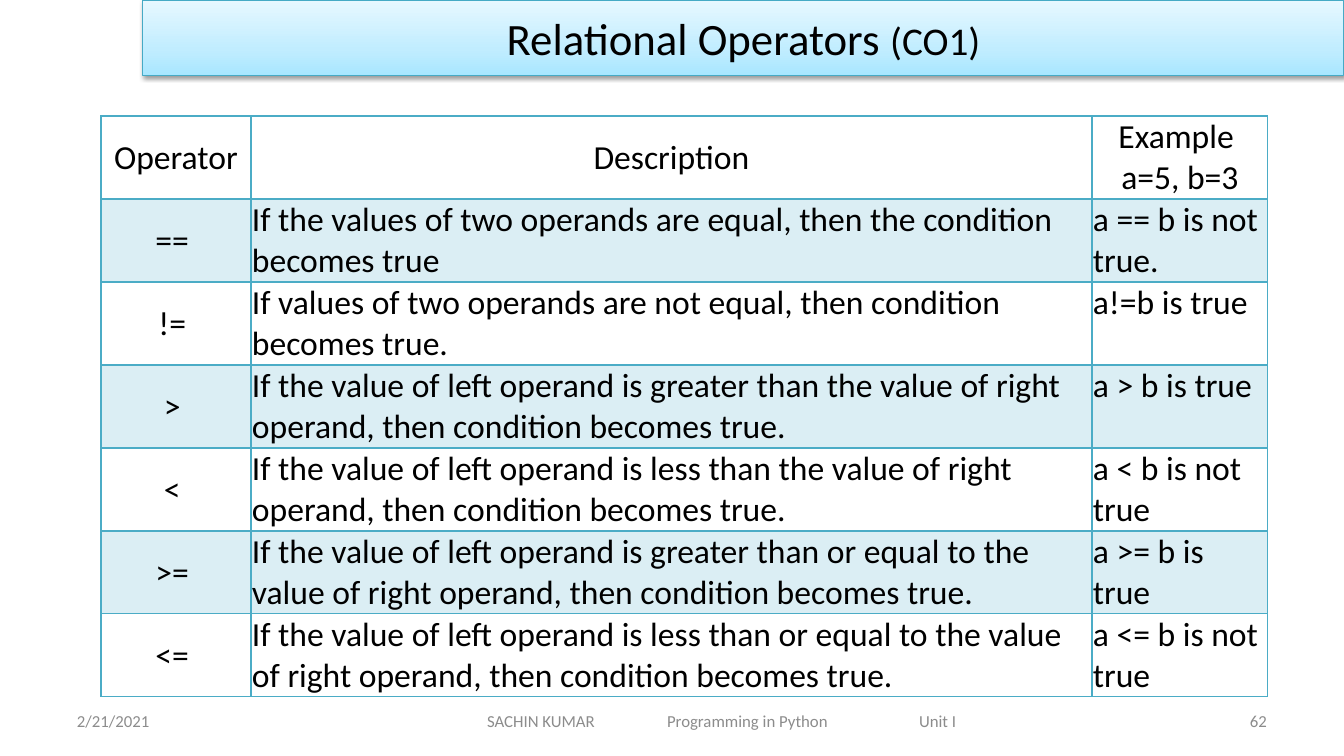
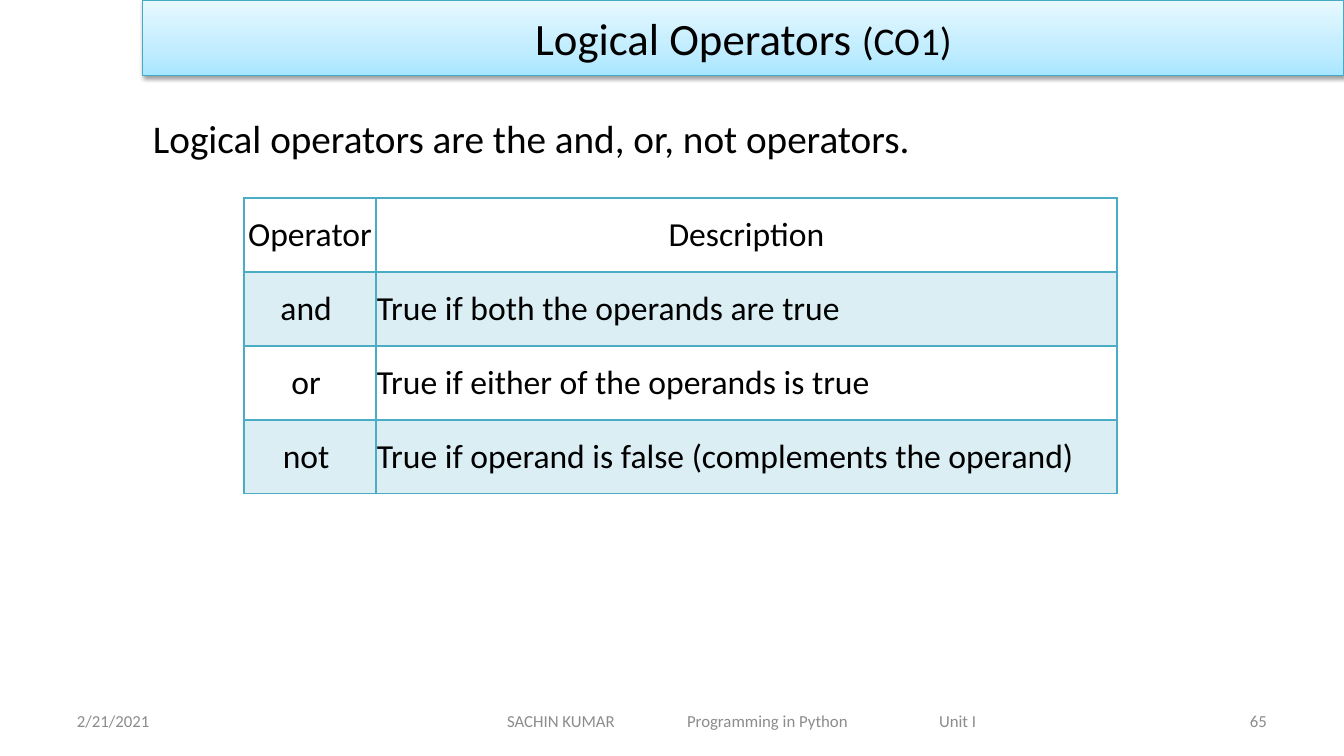
from lxml import etree
from pptx import Presentation
from pptx.dml.color import RGBColor
from pptx.enum.text import MSO_ANCHOR as ANCHOR, MSO_AUTO_SIZE as AUTO, PP_ALIGN as ALIGN
from pptx.oxml import parse_xml
from pptx.oxml.ns import nsdecls, qn
from pptx.util import Emu, Pt

FONT = "Calibri"
BLACK, GREY, TEAL = "000000", "8C8C8C", "4BACC6"
BAND, TITLE_LINE = "DBEEF4", "46AAC5"
TITLE_STOPS = [(0, "A7E6FF"), (35, "C1EDFF"), (100, "E7F8FF")]
TITLE_BOX = (143, 0, 1201, 76)
FOOTER_TOP, FOOTER_HEIGHT = 701, 40
FOOTER_PARTS = ["SACHIN KUMAR", "Programming in Python", "Unit I"]
FOOTER_TABS = [180, 432]

RELATIONAL = [
    ["Operator", "Description", "Example \na=5, b=3"],
    ["== ", "If the values of two operands are equal, then the condition becomes true",
     "a == b is not true."],
    ["!= ", "If values of two operands are not equal, then condition becomes true.",
     "a!=b is true"],
    ["> ", "If the value of left operand is greater than the value of right operand, "
     "then condition becomes true.", "a > b is true"],
    ["< ", "If the value of left operand is less than the value of right operand, "
     "then condition becomes true.", "a < b is not true"],
    [">= ", "If the value of left operand is greater than or equal to the value of "
     "right operand, then condition becomes true.", "a >= b is true"],
    ["<= ", "If the value of left operand is less than or equal to the value of "
     "right operand, then condition becomes true.", "a <= b is not true"],
]
LOGICAL = [
    ["Operator", "Description"],
    ["and ", "True if both the operands are true"],
    ["or ", "True if either of the operands is true"],
    ["not ", "True if operand is false (complements the operand)"],
]


def px(n):
    """Turn slide pixels into EMU."""
    return Emu(round(n * 914400 / 100.8))


def rgb(color):
    """Turn a hex string into a colour."""
    return RGBColor.from_string(color)


def style(font, size, color=BLACK):
    """Set the typeface, size and colour of a font."""
    font.name, font.size, font.color.rgb = FONT, Pt(size), rgb(color)


def add_text(s, box, text, size, color=BLACK, align=ALIGN.LEFT,
             anchor=ANCHOR.MIDDLE, inset=10, tabs=()):
    """Add a one-paragraph text box with optional tab stops."""
    tf = s.shapes.add_textbox(*map(px, box)).text_frame
    tf.word_wrap, tf.vertical_anchor = True, anchor
    tf.margin_left = tf.margin_right = px(inset)
    p = tf.paragraphs[0]
    p.text, p.alignment = text, align
    if tabs:
        tab_list = etree.SubElement(p._p.get_or_add_pPr(), qn("a:tabLst"))
        for tab in tabs:
            etree.SubElement(tab_list, qn("a:tab"), pos=str(px(tab)), algn="l")
    style(p.font, size, color)


def add_title(s, text, box=TITLE_BOX):
    """Turn the title placeholder into the shaded band."""
    sp = s.shapes.title
    sp.left, sp.top, sp.width, sp.height = map(px, box)
    stops = "".join(f'<a:gs pos="{pos * 1000}"><a:srgbClr val="{color}"/></a:gs>'
                    for pos, color in TITLE_STOPS)
    props = sp._element.spPr
    props.append(parse_xml(
        f'<a:gradFill {nsdecls("a")} rotWithShape="1"><a:gsLst>{stops}</a:gsLst>'
        '<a:lin ang="16200000" scaled="0"/></a:gradFill>'))
    sp.line.color.rgb, sp.line.width = rgb(TITLE_LINE), Pt(0.75)
    props.append(parse_xml(
        f'<a:effectLst {nsdecls("a")}><a:outerShdw blurRad="{Pt(3.1)}" '
        f'dist="{Pt(1.6)}" dir="5400000" rotWithShape="0"><a:srgbClr val="{BLACK}">'
        '<a:alpha val="38000"/></a:srgbClr></a:outerShdw></a:effectLst>'))
    tf = sp.text_frame
    tf.auto_size, tf.vertical_anchor = AUTO.NONE, ANCHOR.MIDDLE
    p = tf.paragraphs[0]
    p.alignment = ALIGN.CENTER
    for part, size in ((text + " ", 32), ("(CO1)", 28)):
        r = p.add_run()
        r.text = part
        style(r.font, size)


def add_footer(s, number, middle_left):
    """Place the date, course line and slide number."""
    def place(left, width, text, **options):
        """Place one part on the footer row."""
        add_text(s, (left, FOOTER_TOP, width, FOOTER_HEIGHT), text, 12, GREY, **options)

    place(67, 314, "2/21/2021")
    place(middle_left, 500, "\t".join(FOOTER_PARTS), inset=0, tabs=FOOTER_TABS)
    place(963, 314, str(number), align=ALIGN.RIGHT)


def add_borders(cell, is_header):
    """Draw the four cell borders, heavier below the header."""
    props = cell._tc.get_or_add_tcPr()
    for i, side in enumerate("LRTB"):
        width = Pt(2 if is_header and side == "B" else 1)
        props.insert(i, parse_xml(
            f'<a:ln{side} {nsdecls("a")} w="{width}"><a:solidFill>'
            f'<a:srgbClr val="{TEAL}"/></a:solidFill></a:ln{side}>'))


def format_cell(cell, text, row, col):
    """Fill in and format one cell by its place in the table."""
    cell.text = text
    cell.margin_left = cell.margin_right = cell.margin_top = px(1)
    cell.margin_bottom = 0
    is_header = row == 0
    cell.vertical_anchor = ANCHOR.MIDDLE if is_header or col < 2 else ANCHOR.TOP
    for p in cell.text_frame.paragraphs:
        p.alignment = ALIGN.CENTER if is_header or col == 0 else ALIGN.LEFT
        style(p.font, 24)
    if row % 2:
        cell.fill.solid()
        cell.fill.fore_color.rgb = rgb(BAND)
    else:
        cell.fill.background()
    add_borders(cell, is_header)


def add_operator_table(s, left, top, widths, row_height, rows):
    """Add a table of operators with shaded odd rows."""
    table = s.shapes.add_table(len(rows), len(widths), px(left), px(top),
                               px(sum(widths)), px(row_height * len(rows))).table
    table.first_row = table.horz_banding = False
    for column, width in zip(table.columns, widths):
        column.width = px(width)
    for i, texts in enumerate(rows):
        table.rows[i].height = px(row_height)
        for j, text in enumerate(texts):
            format_cell(table.cell(i, j), text, i, j)


def add_slide(prs, title, number, middle_left):
    """Add a slide with the shared title band and footer."""
    s = prs.slides.add_slide(prs.slide_layouts[5])
    add_title(s, title)
    add_footer(s, number, middle_left)
    return s


def relational_slide(prs):
    """Build the relational operators slide."""
    s = add_slide(prs, "Relational Operators", 62, 487)
    add_operator_table(s, 101, 116, [150, 841, 176], 83, RELATIONAL)


def logical_slide(prs):
    """Build the logical operators slide."""
    s = add_slide(prs, "Logical Operators", 65, 507)
    add_text(s, (143, 109, 1134, 76), "Logical operators are the and, or, not operators.",
             28, anchor=ANCHOR.TOP)
    add_operator_table(s, 244, 198, [132, 741], 74, LOGICAL)


def main():
    """Build and save the presentation."""
    prs = Presentation()
    prs.slide_width, prs.slide_height = px(1344), px(756)
    relational_slide(prs)
    logical_slide(prs)
    prs.save("out.pptx")


if __name__ == "__main__":
    main()
